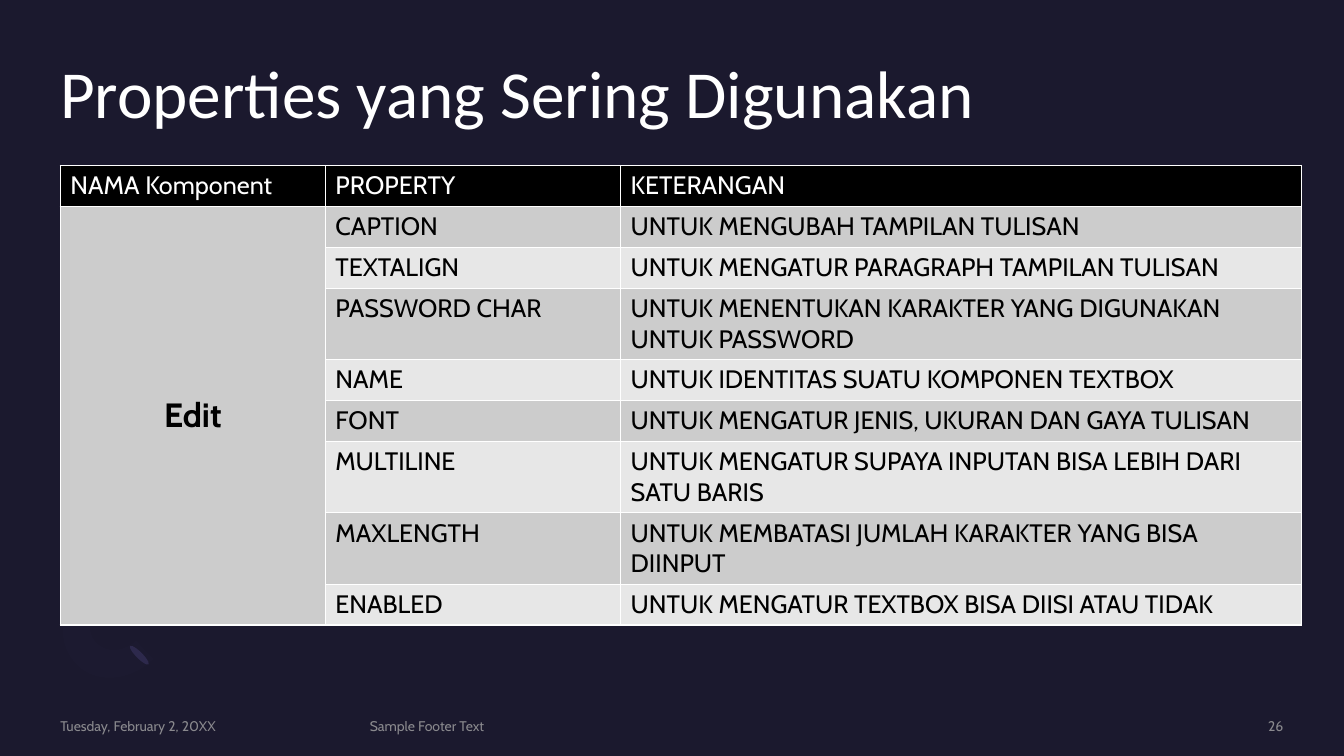
"""Build the slide about the commonly used properties of the Edit component."""
from lxml.etree import SubElement
from pptx import Presentation
from pptx.dml.color import RGBColor
from pptx.enum.shapes import MSO_SHAPE
from pptx.enum.text import MSO_ANCHOR, PP_ALIGN
from pptx.oxml import parse_xml
from pptx.oxml.ns import nsdecls, qn
from pptx.util import Cm, Pt

THEME = {
    "bg": "1B192E", "white": "FFFFFF", "black": "000000", "muted": "A6A6A6",
    "bands": ("CCCCCC", "E7E7E7"), "drop": "2C284A", "ring": "7771B2",
    "title_font": "Calibri", "body_font": "Cabin",
    "title_size": 48, "component_size": 24, "body_size": 18, "footer_size": 10,
}
TITLE = "Properties yang Sering Digunakan"
HEADER = ("NAMA Komponent", "PROPERTY", "KETERANGAN")
COMPONENT = "Edit"
PROPERTIES = [
    ("CAPTION", "UNTUK MENGUBAH TAMPILAN TULISAN", 1),
    ("TEXTALIGN", "UNTUK MENGATUR PARAGRAPH TAMPILAN TULISAN", 1),
    ("PASSWORD CHAR", "UNTUK MENENTUKAN KARAKTER YANG DIGUNAKAN UNTUK PASSWORD", 2),
    ("NAME", "UNTUK IDENTITAS SUATU KOMPONEN TEXTBOX", 1),
    ("FONT", "UNTUK MENGATUR JENIS, UKURAN DAN GAYA TULISAN", 1),
    ("MULTILINE", "UNTUK MENGATUR SUPAYA INPUTAN BISA LEBIH DARI SATU BARIS", 2),
    ("MAXLENGTH", "UNTUK MEMBATASI JUMLAH KARAKTER YANG BISA DIINPUT", 2),
    ("ENABLED", "UNTUK MENGATUR TEXTBOX BISA DIISI ATAU TIDAK", 1),
]
FOOTERS = [
    ("Tuesday, February 2, 20XX", 1.52, 7.32, PP_ALIGN.LEFT),
    ("Sample Footer Text", 9.32, 17.73, PP_ALIGN.LEFT),
    ("26", 27.64, 4.7, PP_ALIGN.RIGHT),
]
LEFT = 1.52
COLUMNS = (6.68, 7.44, 17.15)
ROW_HEIGHTS = {1: 1.03, 2: 1.8}
DROPS = [(3.43, 16.18), (2.08, 14.81)]
RING_CURVES = [
    ((1.93, 16.74), (1.42, 16.23), (1.47, 15.37), (2.06, 14.78)),
    ((2.51, 15.24), (2.21, 15.52), (2.18, 15.98), (2.44, 16.21)),
    ((2.44, 16.21), (2.69, 16.46), (3.12, 16.43), (3.43, 16.15)),
    ((3.86, 16.61), (3.3, 17.17), (2.41, 17.25), (1.93, 16.74)),
]


def rgb(name):
    return RGBColor.from_string(THEME.get(name, name))


def set_alpha(element, percent):
    color = next(element.iter(qn("a:srgbClr")))
    SubElement(color, qn("a:alpha"), val=str(percent * 1000))


def paint(sp, color):
    sp.shadow.inherit = False
    sp.fill.solid()
    sp.fill.fore_color.rgb = rgb(color)
    sp.line.fill.background()


def write(tf, text, color, size, font="body_font", bold=False, align=PP_ALIGN.LEFT):
    p = tf.paragraphs[0]
    p.alignment = align
    r = p.add_run()
    r.text = text
    formats = {"name": THEME[font], "size": Pt(THEME[size]), "bold": bold}
    for key, value in formats.items():
        setattr(r.font, key, value)
    r.font.color.rgb = rgb(color)
    return p, r


def add_box(s, left, top, width, height, anchor):
    tf = s.shapes.add_textbox(Cm(left), Cm(top), Cm(width), Cm(height)).text_frame
    formats = {"margin_left": 0, "margin_top": 0, "margin_right": 0,
               "margin_bottom": 0, "word_wrap": True, "vertical_anchor": anchor}
    for key, value in formats.items():
        setattr(tf, key, value)
    return tf


def curve_points(curve, steps=10):
    for i in range(steps + 1):
        t = i / steps
        weights = ((1 - t) ** 3, 3 * t * (1 - t) ** 2, 3 * t * t * (1 - t), t ** 3)
        yield tuple(Cm(sum(w * pt[axis] for w, pt in zip(weights, curve))) for axis in (0, 1))


def add_decor(s):
    for left, top in DROPS:
        drop = s.shapes.add_shape(MSO_SHAPE.OVAL, Cm(left), Cm(top), Cm(0.16), Cm(0.66))
        drop.rotation = 135
        paint(drop, "drop")
    points = [pt for curve in RING_CURVES for pt in curve_points(curve)]
    builder = s.shapes.build_freeform(*points[0])
    builder.add_line_segments(points[1:], close=True)
    ring = builder.convert_to_shape()
    paint(ring, "ring")
    set_alpha(ring.fill._xPr, 2)


def style_cell(cell, fill):
    cell.fill.solid()
    cell.fill.fore_color.rgb = rgb(fill)
    for i, side in enumerate("LRTB"):
        cell._tc.get_or_add_tcPr().insert(i, parse_xml(
            f'<a:ln{side} {nsdecls("a")} w="12700"><a:solidFill>'
            f'<a:srgbClr val="{THEME["white"]}"/></a:solidFill></a:ln{side}>'))


def add_property_table(s):
    heights = [ROW_HEIGHTS[lines] for lines in (1, *(row[2] for row in PROPERTIES))]
    table = s.shapes.add_table(len(heights), len(COLUMNS), Cm(LEFT), Cm(4.17),
                               Cm(sum(COLUMNS)), Cm(sum(heights))).table
    for column, width in zip(table.columns, COLUMNS):
        column.width = Cm(width)
    for row, height in zip(table.rows, heights):
        row.height = Cm(height)
    for c, text in enumerate(HEADER):
        style_cell(table.cell(0, c), "black")
        write(table.cell(0, c).text_frame, text, "white", "body_size")
    for r, (name, note, _) in enumerate(PROPERTIES, 1):
        band = THEME["bands"][(r - 1) % 2]
        style_cell(table.cell(r, 0), THEME["bands"][0])
        for c, text in enumerate((name, note), 1):
            style_cell(table.cell(r, c), band)
            write(table.cell(r, c).text_frame, text, "black", "body_size")
    component = table.cell(1, 0)
    component.merge(table.cell(len(PROPERTIES), 0))
    component.vertical_anchor = MSO_ANCHOR.MIDDLE
    write(component.text_frame, COMPONENT, "black", "component_size",
          bold=True, align=PP_ALIGN.CENTER)


def main():
    prs = Presentation()
    prs.slide_width, prs.slide_height = Cm(33.87), Cm(19.05)
    s = prs.slides.add_slide(prs.slide_layouts[6])
    s.background.fill.solid()
    s.background.fill.fore_color.rgb = rgb("bg")
    add_decor(s)
    title = add_box(s, LEFT, 1.52, 30.81, 3.71, MSO_ANCHOR.TOP)
    p, _ = write(title, TITLE, "white", "title_size", "title_font")
    p.line_spacing = 0.9
    for text, left, width, align in FOOTERS:
        tf = add_box(s, left, 18.08, width, 0.43, MSO_ANCHOR.MIDDLE)
        _, r = write(tf, text, "muted", "footer_size", align=align)
        set_alpha(r._r, 80)
    add_property_table(s)
    prs.save("out.pptx")


if __name__ == "__main__":
    main()
